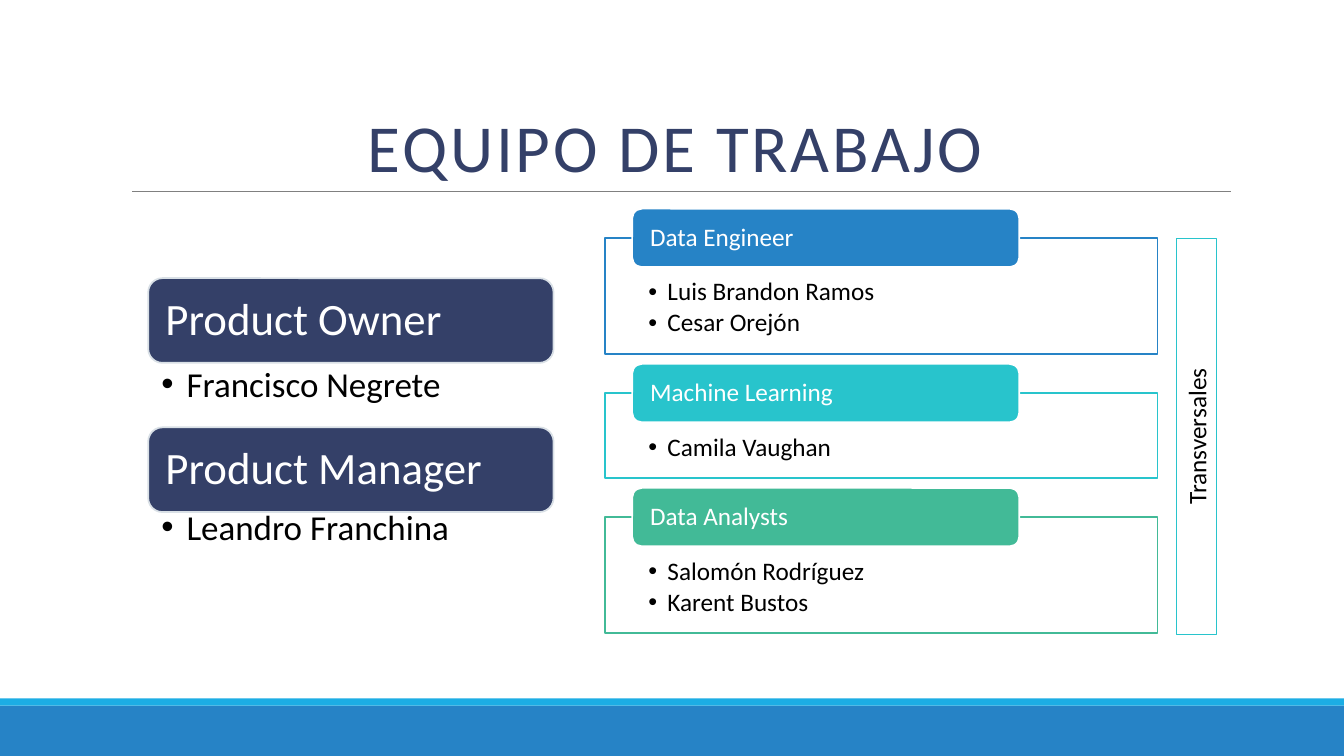
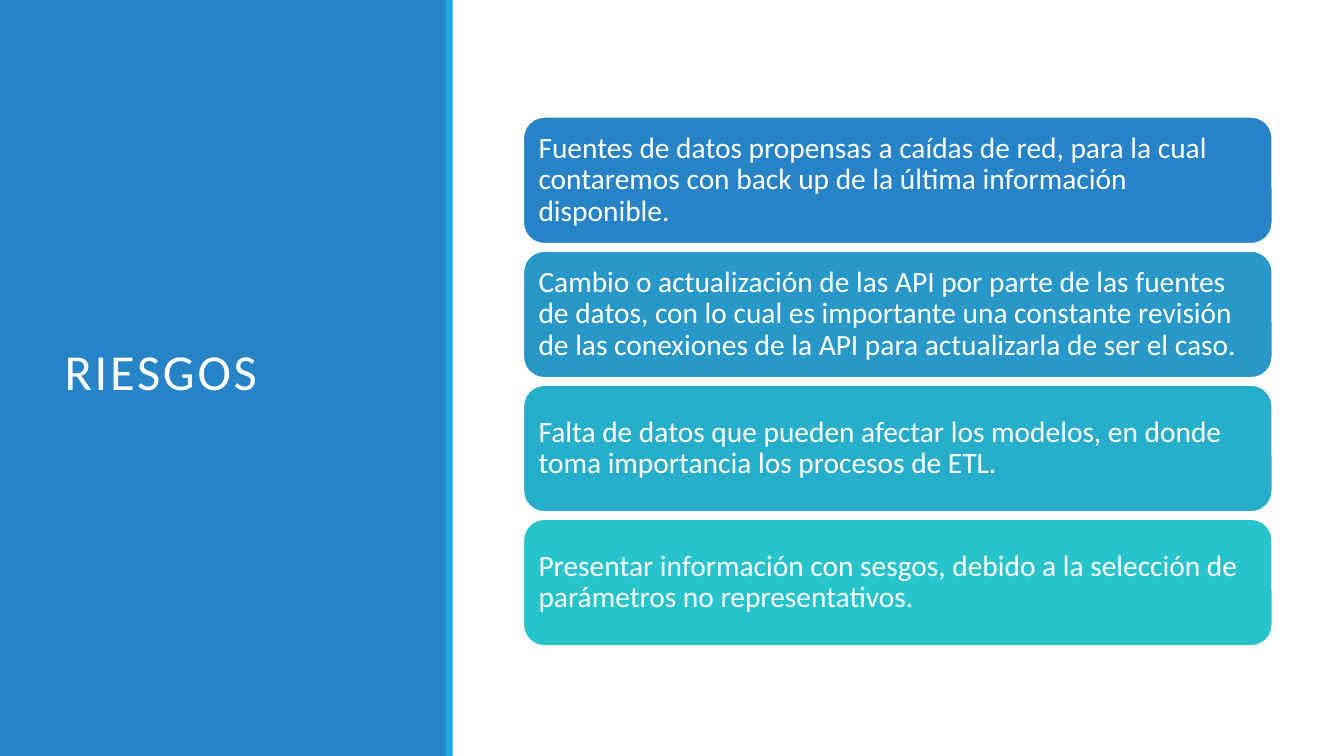
from lxml import etree
from pptx import Presentation
from pptx.dml.color import RGBColor
from pptx.enum.shapes import MSO_CONNECTOR, MSO_SHAPE
from pptx.enum.text import MSO_ANCHOR, MSO_AUTO_SIZE, PP_ALIGN
from pptx.oxml.ns import qn
from pptx.util import Inches, Pt

RECT, ROUND = MSO_SHAPE.RECTANGLE, MSO_SHAPE.ROUNDED_RECTANGLE
LINE = MSO_CONNECTOR.STRAIGHT
TOP, MIDDLE, BOTTOM = MSO_ANCHOR.TOP, MSO_ANCHOR.MIDDLE, MSO_ANCHOR.BOTTOM
LEFT, CENTER = PP_ALIGN.LEFT, PP_ALIGN.CENTER
FIXED = MSO_AUTO_SIZE.NONE
BLUE, SKY, NAVY, AQUA, GREEN = "2683C6", "1CADE4", "344068", "28C4CC", "42BA97"
WHITE, BLACK, GRAY, PALE = "FFFFFF", "000000", "808080", "D9E0E6"
SIDES = "margin_left", "margin_top", "margin_right", "margin_bottom"


def box(slide, kind, at, fill=None, line=None, width=1.25):
    shape = slide.shapes.add_shape(kind, *map(Inches, at))
    shape.shadow.inherit = False
    for part, tint in ((shape.fill, fill), (shape.line.fill, line)):
        if tint:
            part.solid()
            part.fore_color.rgb = RGBColor.from_string(tint)
        else:
            part.background()
    if line:
        shape.line.width = Pt(width)
    return shape


def write(shape, lines, size, color, pads=(0.1, 0.05, 0.1, 0.05), anchor=MIDDLE,
          align=LEFT, space=0.9, bullet=0, after=0):
    frame = shape.text_frame
    look = {"word_wrap": True, "auto_size": FIXED, "vertical_anchor": anchor}
    look.update(zip(SIDES, map(Inches, pads)))
    for name, value in look.items():
        setattr(frame, name, value)
    frame.text = "\n".join(lines)
    form = {"alignment": align, "line_spacing": space, "space_after": Pt(after)}
    for para in frame.paragraphs:
        for name, value in form.items():
            setattr(para, name, value)
        for name, value in {"name": "Calibri", "size": Pt(size)}.items():
            setattr(para.runs[0].font, name, value)
        para.runs[0].font.color.rgb = RGBColor.from_string(color)
        if bullet:
            props = para._p.get_or_add_pPr()
            props.set("marL", str(Inches(bullet)))
            props.set("indent", str(Inches(-bullet)))
            font = etree.SubElement(props, qn("a:buFont"))
            font.set("typeface", "Arial")
            etree.SubElement(props, qn("a:buChar")).set("char", "•")


deck = Presentation()
deck.slide_width, deck.slide_height = Inches(13.33), Inches(7.5)

heads = [
    {"text": "EQUIPO DE TRABAJO", "at": (1.2, 0.31, 11, 1.59), "size": 48,
     "color": NAVY, "anchor": BOTTOM, "align": CENTER,
     "bands": [((0, 7, 13.33, 0.5), BLUE), ((0, 6.93, 13.33, 0.07), SKY)]},
    {"text": "RIESGOS", "at": (0.54, 0.57, 3.37, 6.31), "size": 36,
     "color": WHITE, "anchor": MIDDLE, "align": LEFT,
     "bands": [((0, 0, 4.43, 7.5), BLUE), ((4.42, 0, 0.07, 7.5), SKY)]},
]
for head in heads:
    slide = deck.slides.add_slide(deck.slide_layouts[5])
    for at, tint in head["bands"]:
        box(slide, RECT, at, tint)
    title = slide.shapes.title
    for name, value in zip(("left", "top", "width", "height"), head["at"]):
        setattr(title, name, Inches(value))
    write(title, [head["text"]], head["size"], head["color"],
          anchor=head["anchor"], align=head["align"], space=0.85)
    title.text_frame.paragraphs[0].runs[0].font._element.set("spc", "200")
    slide.shapes._spTree.append(title._element)

team, risks = deck.slides

rule = team.shapes.add_connector(LINE, *map(Inches, (1.31, 1.9, 12.21, 1.9)))
rule.line.color.rgb = RGBColor.from_string(GRAY)
rule.line.width = Pt(0.5)
etree.SubElement(rule._element.spPr, qn("a:effectLst"))

roles = [
    ("Product Owner", "Francisco Negrete", 2.76, 3.6),
    ("Product Manager", "Leandro Franchina", 4.24, 5.02),
]
for role, person, top, low in roles:
    card = box(team, ROUND, (1.47, top, 4.02, 0.84), NAVY, PALE)
    write(card, [role], 32, WHITE, (0.13,) * 4)
    note = team.shapes.add_textbox(*map(Inches, (1.47, low, 4.02, 0.58)))
    write(note, [person], 25, BLACK, (0.13, 0.04, 0.25, 0.04), TOP, bullet=0.25)

groups = [
    ("Data Engineer", ["Luis Brandon Ramos", "Cesar Orejón"], BLUE),
    ("Machine Learning", ["Camila Vaughan"], AQUA),
    ("Data Analysts", ["Salomón Rodríguez", "Karent Bustos"], GREEN),
]
top = 2.36
for role, people, tint in groups:
    tall = 0.53 + 0.31 * len(people)
    frame = box(team, RECT, (6, top, 5.48, tall), WHITE, tint)
    write(frame, people, 18, BLACK, (0.43, 0.41, 0.43, 0.14), TOP,
          bullet=0.19, after=2.7)
    tab = box(team, ROUND, (6.27, top - 0.29, 3.84, 0.58), tint, WHITE)
    write(tab, [role], 18, WHITE, (0.15, 0, 0.15, 0))
    top += tall + 0.39

side = box(team, RECT, (9.9, 4.13, 3.93, 0.4), None, AQUA, 0.75)
side.rotation = 270
write(side, ["Transversales"], 18, BLACK, align=CENTER, space=1)

items = [
    ("Fuentes de datos propensas a caídas de red, para la cual contaremos "
     "con back up de la última información disponible.", BLUE),
    ("Cambio o actualización de las API por parte de las fuentes de datos, "
     "con lo cual es importante una constante revisión de las conexiones "
     "de la API para actualizarla de ser el caso.", "2798C8"),
    ("Falta de datos que pueden afectar los modelos, en donde toma "
     "importancia los procesos de ETL.", "27AECA"),
    ("Presentar información con sesgos, debido a la selección de "
     "parámetros no representativos.", AQUA),
]
for row, (text, tint) in enumerate(items):
    card = box(risks, ROUND, (5.19, 1.16 + 1.33 * row, 7.43, 1.26), tint, WHITE)
    write(card, [text], 21, WHITE, (0.09,) * 4)

deck.save("out.pptx")
